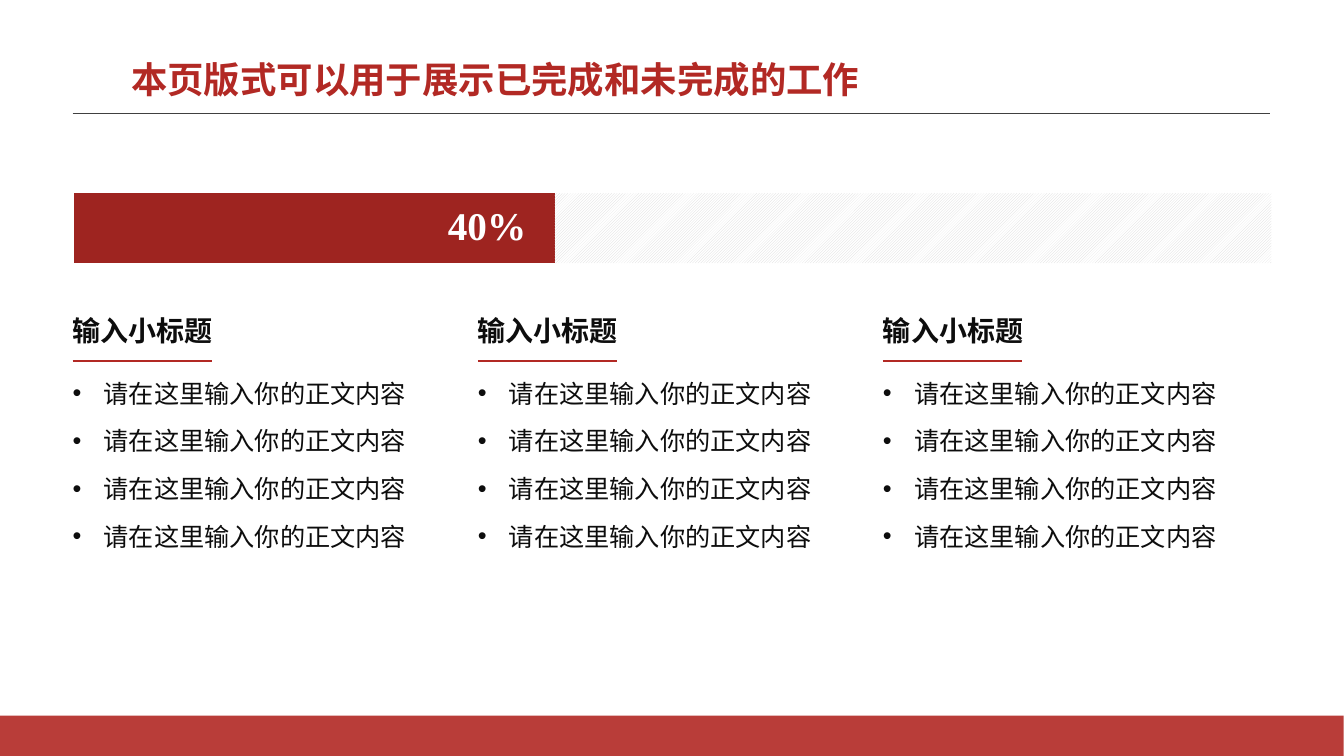
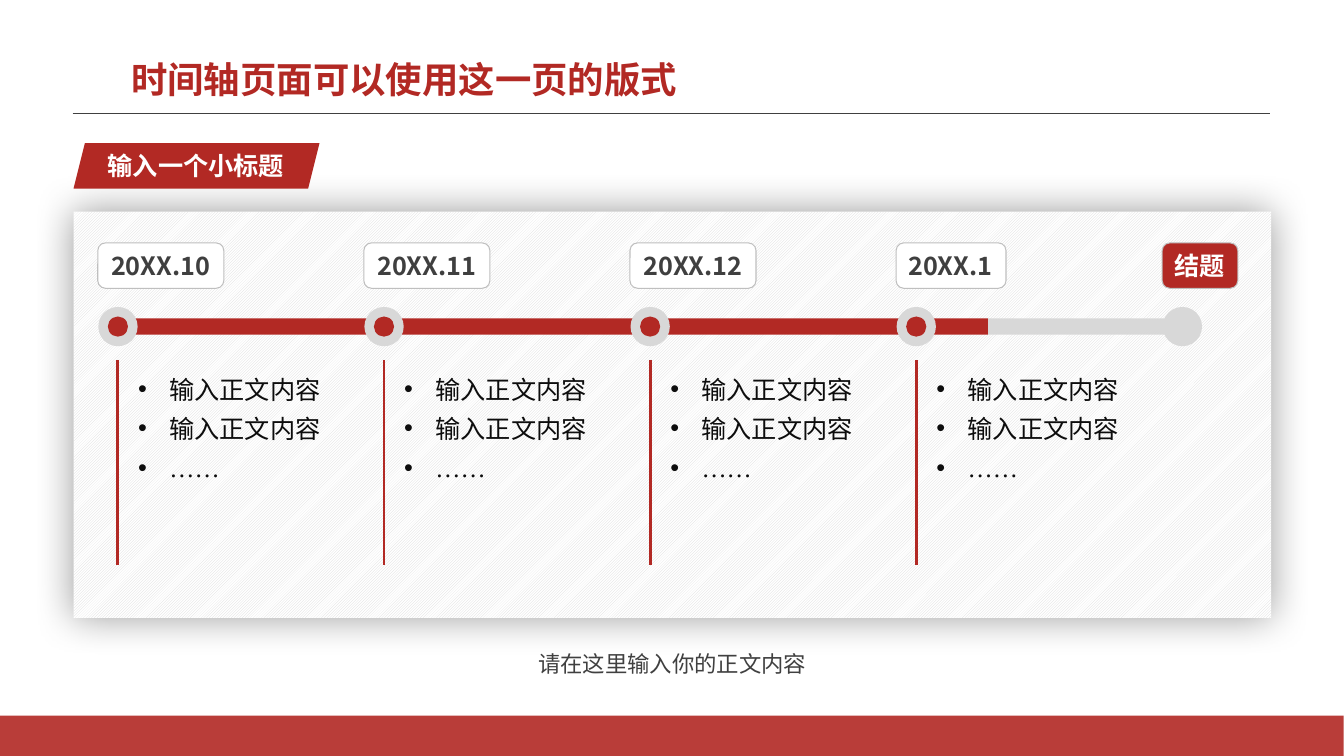
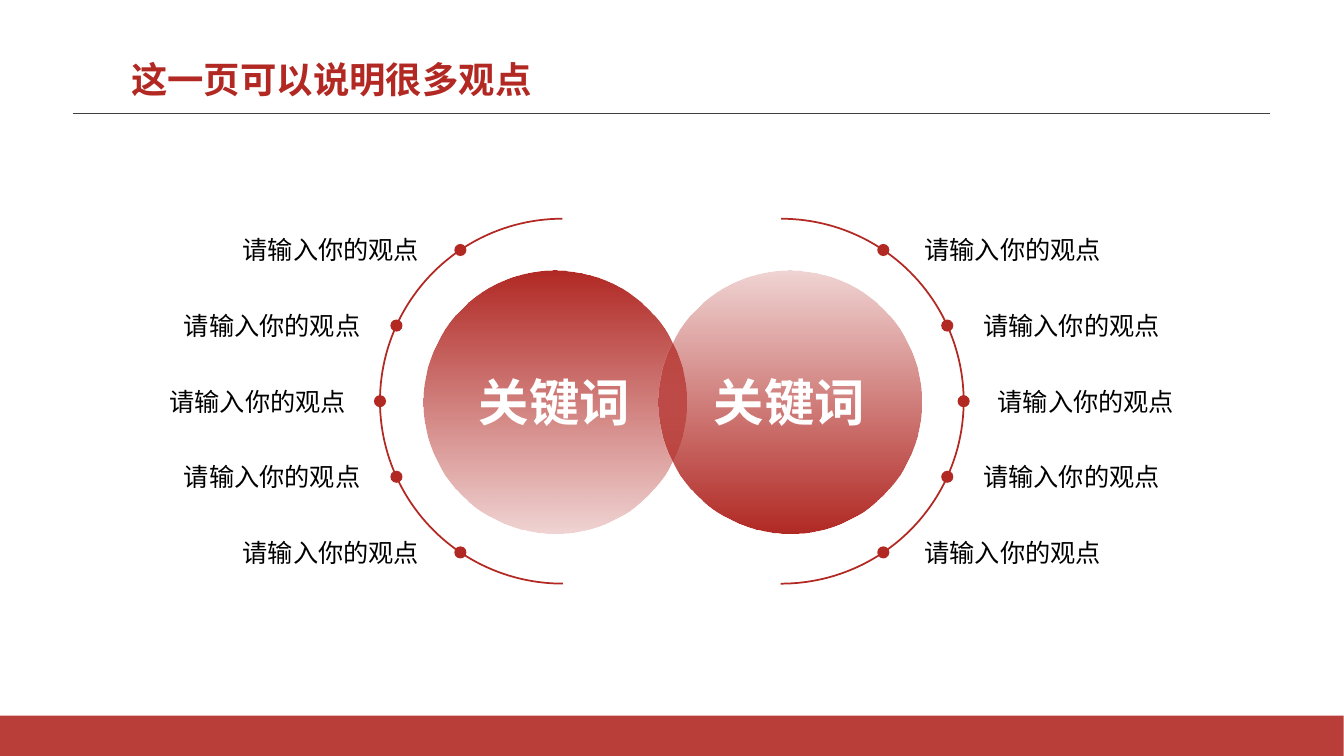
import math
from collections.abc import Sequence
from dataclasses import dataclass

from lxml import etree
from pptx import Presentation
from pptx import util as u
from pptx.chart.data import CategoryChartData
from pptx.dml.color import RGBColor
from pptx.enum import chart as charts, dml, shapes, text
from pptx.oxml import parse_xml
from pptx.oxml.ns import nsdecls, qn

EMU_PER_PX = 9144  # 100 px to the inch

RED, DARK_RED = "B22924", "9E2420"
WHITE, BLACK, INK = "FFFFFF", "000000", "0D0D0D"
RULE_GREY, LABEL_GREY = "404040", "3F3F3F"
TRACK_GREY, HATCH_GREY, BORDER_GREY = "D8D8D8", "D9D9D9", "BFBFBF"
SERIF, SANS = "Times New Roman", "Noto Sans CJK SC"
LEFT, CENTER, RIGHT = text.PP_ALIGN.LEFT, text.PP_ALIGN.CENTER, text.PP_ALIGN.RIGHT
SHAPE = shapes.MSO_SHAPE


@dataclass(frozen=True)
class Stage:
    label: str
    width: int
    align: text.PP_ALIGN = CENTER
    reached: bool = True


@dataclass(frozen=True)
class Side:
    direction: int  # -1 opens to the left, 1 to the right
    disc_left: int
    arc_left: int
    arc_angles: tuple[float, float]
    opacities: tuple[int, int]
    align: text.PP_ALIGN


STAGES = [
    Stage("20XX.10", 125),
    Stage("20XX.11", 125),
    Stage("20XX.12", 125),
    Stage("20XX.1", 109, LEFT),
    Stage("结题", 75, reached=False),
]
SIDES = [
    Side(-1, 420, 377, (53.9, 162), (100, 20), RIGHT),
    Side(1, 653, 594, (162, 54.1), (20, 100), LEFT),
]


def px(value: float) -> u.Emu:
    return u.Emu(round(value * EMU_PER_PX))


def box(*lengths: float) -> list[u.Emu]:
    return [px(length) for length in lengths]


def rgb(color: str) -> RGBColor:
    return RGBColor.from_string(color)


def write(shape, content: str | Sequence[str], *, size: int, color: str = INK,
          font: str = SERIF, bold: bool = False, align=LEFT, spacing: float = 1,
          before: int = 0, bullet: bool = False, anchor=text.MSO_ANCHOR.TOP,
          insets: tuple = (10, 5, 10, 5), wrap: bool = True):
    """Fill a shape with one paragraph per string, all in one format."""
    frame = shape.text_frame
    frame.auto_size = text.MSO_AUTO_SIZE.NONE
    frame.word_wrap = wrap
    frame.vertical_anchor = anchor
    (frame.margin_left, frame.margin_top,
     frame.margin_right, frame.margin_bottom) = box(*insets)
    lines = [content] if isinstance(content, str) else content
    for index, line in enumerate(lines):
        paragraph = frame.add_paragraph() if index else frame.paragraphs[0]
        paragraph.alignment = align
        paragraph.line_spacing = spacing
        paragraph.space_before = u.Pt(before if index else 0)
        run = paragraph.add_run()
        run.text = line
        run.font.size, run.font.bold, run.font.name = u.Pt(size), bold, font
        run.font.color.rgb = rgb(color)
    for run_format in shape.element.iter(qn("a:rPr")):
        etree.SubElement(run_format, qn("a:ea"), typeface=SANS)
    if bullet:
        for layout in shape.element.iter(qn("a:pPr")):
            layout.set("marL", str(px(31)))
            layout.set("indent", str(px(-31)))
            etree.SubElement(layout, qn("a:buFont"), typeface="Arial")
            etree.SubElement(layout, qn("a:buChar"), char="•")


def add_text(slide, area: tuple, content: str | Sequence[str], **style) -> None:
    write(slide.shapes.add_textbox(*box(*area)), content, **style)


def add_shape(slide, kind: SHAPE, area: tuple, fill: str | None = None,
              border: str | None = None, border_width: float = 0.75):
    shape = slide.shapes.add_shape(kind, *box(*area))
    shape.shadow.inherit = False
    if fill:
        shape.fill.solid()
        shape.fill.fore_color.rgb = rgb(fill)
    else:
        shape.fill.background()
    if border:
        shape.line.color.rgb = rgb(border)
        shape.line.width = u.Pt(border_width)
    else:
        shape.line.fill.background()
    return shape


def add_circle(slide, center_x: float, center_y: float, diameter: int, fill: str):
    radius = diameter / 2
    area = (center_x - radius, center_y - radius, diameter, diameter)
    return add_shape(slide, SHAPE.OVAL, area, fill)


def add_line(slide, ends: tuple, color: str, width: float):
    line = slide.shapes.add_connector(shapes.MSO_CONNECTOR.STRAIGHT, *box(*ends))
    line.line.color.rgb = rgb(color)
    line.line.width = u.Pt(width)
    etree.SubElement(line.element.spPr, qn("a:effectLst"))
    return line


def hatch(fill) -> None:
    fill.patterned()
    fill.pattern = dml.MSO_PATTERN.LIGHT_UPWARD_DIAGONAL
    fill.fore_color.rgb = rgb(HATCH_GREY)
    fill.back_color.rgb = rgb(WHITE)


def set_opacity(shape, *percents: int) -> None:
    """Give the shape's colours, in order, their opacity."""
    for color, percent in zip(shape.element.spPr.iter(qn("a:srgbClr")), percents):
        etree.SubElement(color, qn("a:alpha"), val=str(percent * 1000))


def add_glow_shadow(shape, blur: int, percent: int) -> None:
    effects = shape.element.spPr.find(qn("a:effectLst"))
    shadow = etree.SubElement(effects, qn("a:outerShdw"), blurRad=str(px(blur)),
                              algn="ctr", rotWithShape="0")
    color = etree.SubElement(shadow, qn("a:srgbClr"), val=BLACK)
    etree.SubElement(color, qn("a:alpha"), val=str(percent * 1000))


def add_titled_slide(prs, title: str):
    slide = prs.slides.add_slide(prs.slide_layouts[5])
    heading = slide.shapes.title
    heading.left, heading.top, heading.width, heading.height = box(130, 63, 800, 37)
    write(heading, title, size=26, color=RED, bold=True, spacing=0.9,
          anchor=text.MSO_ANCHOR.MIDDLE, insets=(0, 0, 0, 0))
    return slide


def dress_layout(layout, slide) -> None:
    """Move the footer band and title rule from a slide to its layout."""
    for holder in list(layout.placeholders):
        if holder.placeholder_format.type != shapes.PP_PLACEHOLDER.TITLE:
            layout.shapes.element.remove(holder.element)
    band = add_shape(slide, SHAPE.RECTANGLE, (0, 710, 1333, 40), RED)
    set_opacity(band, 90)
    rule = add_line(slide, (72, 112, 1260, 112), RULE_GREY, 0.5)
    for part in (band, rule):
        layout.shapes.element.append(part.element)


def add_progress_bar(slide) -> None:
    data = CategoryChartData()
    data.categories = ["1"]
    data.add_series("Series 1", [67])
    data.add_series("Series 2", [100])
    progress = slide.shapes.add_chart(charts.XL_CHART_TYPE.BAR_STACKED,
                                      *box(55, 177, 1441, 99), data).chart
    progress.has_legend = progress.has_title = False
    progress.font.size, progress.font.name = u.Pt(10), SERIF
    progress.font.color.rgb = rgb(BLACK)
    progress.value_axis.minimum_scale = 0
    progress.value_axis.maximum_scale = 200
    progress.value_axis.has_major_gridlines = False
    progress.value_axis.visible = progress.category_axis.visible = False
    bars = progress.plots[0]
    bars.gap_width, bars.overlap, bars.vary_by_categories = 0, 100, False
    done, remaining = bars.series
    done.format.fill.solid()
    done.format.fill.fore_color.rgb = rgb(DARK_RED)
    hatch(remaining.format.fill)

    plot_area = progress.element.find(".//" + qn("c:plotArea"))
    for automatic in plot_area.findall(qn("c:layout")):
        plot_area.remove(automatic)
    plot_area.insert(0, parse_xml(
        f'<c:layout {nsdecls("c")}><c:manualLayout><c:layoutTarget val="inner"/>'
        '<c:xMode val="edge"/><c:yMode val="edge"/><c:x val="0.013"/>'
        '<c:y val="0.149"/><c:w val="0.987"/><c:h val="0.701"/>'
        '</c:manualLayout></c:layout>'))


def fill_progress(slide) -> None:
    add_progress_bar(slide)
    add_text(slide, (394, 195, 128, 63), "40%", size=28, color=WHITE, bold=True,
             align=RIGHT, insets=(0, 5, 0, 5))
    for column in range(3):
        left = 72 + 402 * column
        add_text(slide, (left, 306, 169, 44), "输入小标题", size=20, font=SANS,
                 bold=True, insets=(0, 5, 10, 5))
        add_text(slide, (left, 361, 374, 259), ["请在这里输入你的正文内容"] * 4,
                 size=18, spacing=1.3, before=6, bullet=True, insets=(0, 5, 10, 5))
        add_line(slide, (left, 358, left + 138, 358), RED, 1.5)


def add_stage(slide, stage: Stage, center_x: int) -> None:
    add_circle(slide, center_x, 324, 39, TRACK_GREY)
    tag = add_shape(slide, SHAPE.ROUNDED_RECTANGLE,
                    (center_x - 20, 241, stage.width, 45),
                    WHITE if stage.reached else RED, BORDER_GREY)
    write(tag, stage.label, size=18, font=SANS, bold=True, align=stage.align,
          color=LABEL_GREY if stage.reached else WHITE, wrap=False)
    if stage.reached:
        add_circle(slide, center_x, 324, 20, RED)
        add_line(slide, (center_x, 357, center_x, 561), RED, 2)
        add_text(slide, (center_x + 20, 357, 225, 124),
                 ["输入正文内容", "输入正文内容", "……"],
                 size=18, spacing=1.3, bullet=True, insets=(0, 5, 0, 5))


def fill_timeline(slide) -> None:
    panel = add_shape(slide, SHAPE.RECTANGLE, (73, 210, 1188, 403))
    hatch(panel.fill)
    add_glow_shadow(panel, 40, 40)
    add_shape(slide, SHAPE.RECTANGLE, (980, 316, 198, 16), TRACK_GREY)
    add_shape(slide, SHAPE.RECTANGLE, (117, 316, 863, 16), RED)
    for index, stage in enumerate(STAGES):
        add_stage(slide, stage, 117 + 264 * index)
    ribbon = add_shape(slide, SHAPE.PARALLELOGRAM, (73, 142, 244, 45), RED)
    ribbon.adjustments[0] = 0.25
    subtitle = add_shape(slide, SHAPE.RECTANGLE, (97, 144, 197, 40), RED)
    write(subtitle, "输入一个小标题", size=18, color=WHITE, font=SANS, bold=True,
          wrap=False)
    add_text(slide, (73, 632, 1188, 42), "请在这里输入你的正文内容", size=16,
             color=RULE_GREY, align=CENTER, spacing=1.3, insets=(0, 5, 0, 5))


def add_side(slide, side: Side) -> None:
    disc = add_shape(slide, SHAPE.OVAL, (side.disc_left, 268, 261, 261))
    disc.fill.gradient()
    disc.fill.gradient_angle = 270
    for stop in disc.fill.gradient_stops:
        stop.color.rgb = rgb(RED)
    set_opacity(disc, *side.opacities)
    add_text(slide, (side.disc_left + 21, 363, 218, 71), "关键词", size=36,
             color=WHITE, font=SANS, bold=True, align=CENTER)

    radius, center_y = 181, 398
    arc = add_shape(slide, SHAPE.ARC, (side.arc_left, center_y - radius,
                                       2 * radius, 2 * radius),
                    border=RED, border_width=1.25)
    arc.adjustments[0], arc.adjustments[1] = side.arc_angles
    label_width = 269
    for row, gap in enumerate((31, 26, 24, 26, 31), start=-2):
        rise = 75 * row
        reach = math.sqrt(radius ** 2 - rise ** 2)
        dot_x = side.arc_left + radius + side.direction * reach
        add_circle(slide, dot_x, center_y + rise, 12, RED)
        label_edge = dot_x + side.direction * gap
        label_left = label_edge - (label_width if side.direction < 0 else 0)
        add_text(slide, (label_left, center_y + rise - 20, label_width, 40),
                 "请输入你的观点", size=18, color=BLACK, align=side.align)


def fill_viewpoints(slide) -> None:
    for side in SIDES:
        add_side(slide, side)


def main() -> None:
    prs = Presentation()
    prs.slide_width, prs.slide_height = box(1333.33, 750)
    progress = add_titled_slide(prs, "本页版式可以用于展示已完成和未完成的工作")
    dress_layout(progress.slide_layout, progress)
    fill_progress(progress)
    fill_timeline(add_titled_slide(prs, "时间轴页面可以使用这一页的版式"))
    fill_viewpoints(add_titled_slide(prs, "这一页可以说明很多观点"))
    prs.save("out.pptx")


if __name__ == "__main__":
    main()
